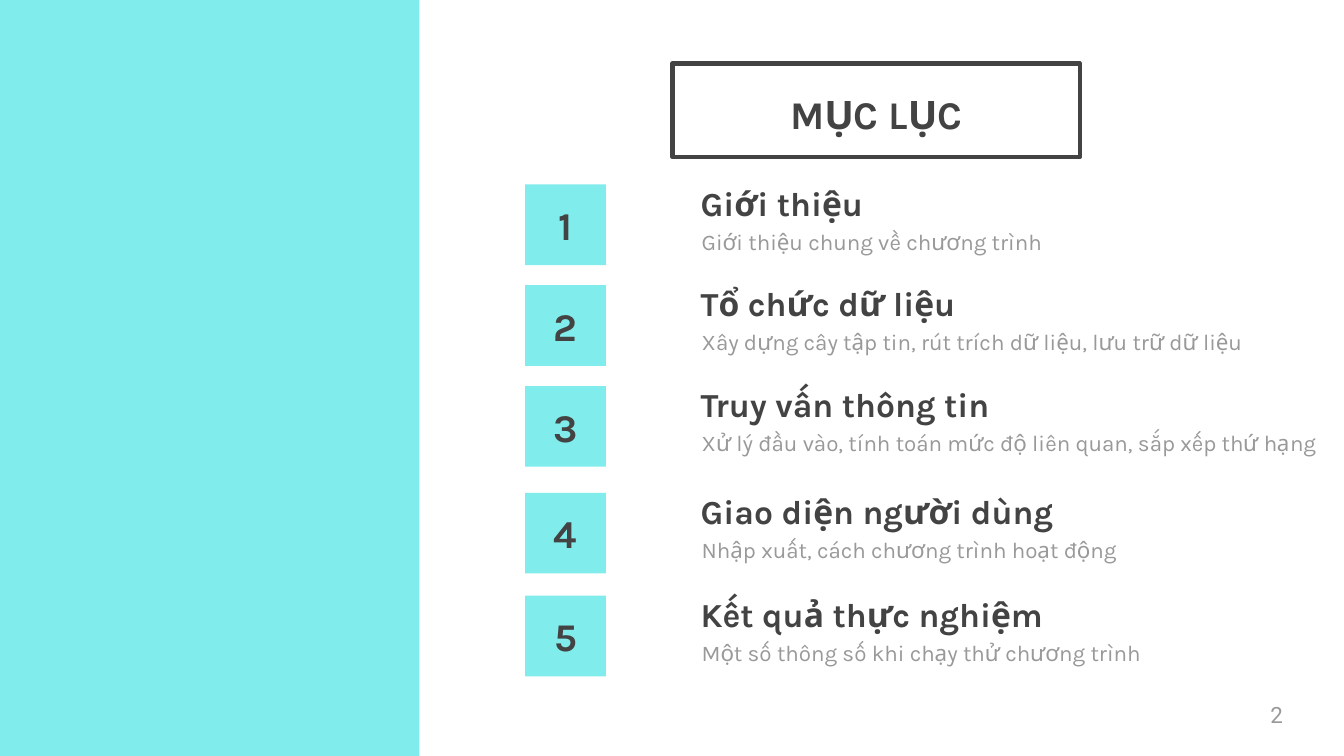
from pptx import Presentation
from pptx.dml.color import RGBColor
from pptx.enum.shapes import MSO_SHAPE
from pptx.enum.text import MSO_ANCHOR, PP_ALIGN
from pptx.util import Inches, Pt

AQUA = RGBColor(0x81, 0xEC, 0xEC)
DARK = RGBColor(0x43, 0x43, 0x43)
GRAY = RGBColor(0x99, 0x99, 0x99)

SQUARE = 0.8
ENTRY_LEFT = 5.21
ENTRIES = [
    (1.83, "Giới thiệu", "Giới thiệu chung về chương trình"),
    (2.83, "Tổ chức dữ liệu", "Xây dựng cây tập tin, rút trích dữ liệu, lưu trữ dữ liệu"),
    (3.83, "Truy vấn thông tin", "Xử lý đầu vào, tính toán mức độ liên quan, sắp xếp thứ hạng"),
    (4.89, "Giao diện người dùng", "Nhập xuất, cách chương trình hoạt động"),
    (5.91, "Kết quả thực nghiệm", "Một số thông số khi chạy thử chương trình"),
]


def write(sp, text, size, color, bold=False, font="Karla", anchor=MSO_ANCHOR.MIDDLE,
          align=PP_ALIGN.LEFT, inset=0.13):
    """Write one styled paragraph into a shape and return it."""
    tf = sp.text_frame
    tf.word_wrap = True
    tf.vertical_anchor = anchor
    tf.margin_left = tf.margin_right = tf.margin_top = tf.margin_bottom = Inches(inset)
    p = tf.paragraphs[0]
    p.text = text
    p.alignment = align
    p.font.size = Pt(size)
    p.font.name = font
    p.font.bold = bold
    p.font.color.rgb = color
    return p


def add_rect(s, left, top, width, height, fill=None, line=None):
    """Add a plain rectangle with an optional fill and outline."""
    sp = s.shapes.add_shape(MSO_SHAPE.RECTANGLE, Inches(left), Inches(top),
                            Inches(width), Inches(height))
    sp.shadow.inherit = False
    if fill is None:
        sp.fill.background()
    else:
        sp.fill.solid()
        sp.fill.fore_color.rgb = fill
    if line is None:
        sp.line.fill.background()
    else:
        sp.line.color.rgb = line
        sp.line.width = Pt(3)
    return sp


def add_text(s, left, top, width, height, text, size, color, **style):
    """Add a text box holding one styled paragraph."""
    sp = s.shapes.add_textbox(Inches(left), Inches(top), Inches(width), Inches(height))
    write(sp, text, size, color, **style)


def add_heading(s, left, top, width, height):
    """Add the framed slide heading."""
    frame = add_rect(s, left, top, width, height, line=DARK)
    p = write(frame, "MỤC LỤC", 28, DARK, bold=True, align=PP_ALIGN.CENTER)
    p.line_spacing = 1.15


def add_entry(s, left, top, number, title, detail):
    """Add a numbered square with its title and detail line."""
    square = add_rect(s, left, top, SQUARE, SQUARE, fill=AQUA)
    write(square, str(number), 28, DARK, bold=True, align=PP_ALIGN.CENTER, inset=0)
    add_text(s, left + 1.61, top - 0.49, 6.5, 1, title, 24, DARK,
             bold=True, anchor=MSO_ANCHOR.BOTTOM)
    add_text(s, left + 1.62, top + 0.3, 6.5, 0.84, detail, 16, GRAY,
             anchor=MSO_ANCHOR.TOP)


def main():
    """Build the contents slide."""
    prs = Presentation()
    prs.slide_width = Inches(13.33)
    prs.slide_height = Inches(7.5)
    s = prs.slides.add_slide(prs.slide_layouts[6])
    add_rect(s, 0, 0, 4.16, 7.5, fill=AQUA)
    add_heading(s, 6.67, 0.63, 4.04, 0.93)
    for number, (top, title, detail) in enumerate(ENTRIES, 1):
        add_entry(s, ENTRY_LEFT, top, number, title, detail)
    add_text(s, 12.47, 6.8, 0.8, 0.57, "2", 16, GRAY, font="Roboto")
    prs.save("out.pptx")


if __name__ == "__main__":
    main()
